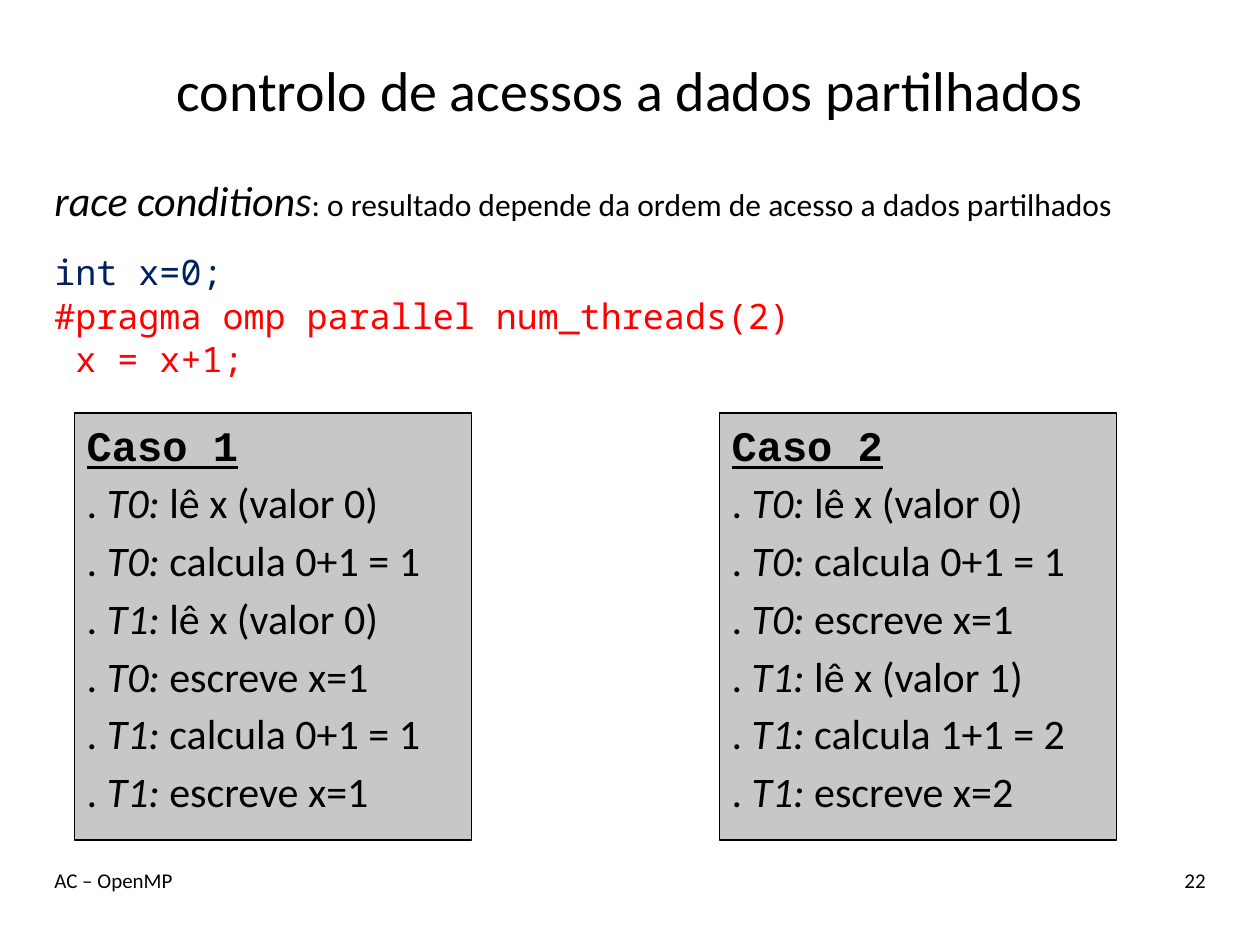
from pptx import Presentation
from pptx.dml.color import RGBColor
from pptx.enum.shapes import MSO_SHAPE
from pptx.enum.text import MSO_ANCHOR, PP_ALIGN
from pptx.util import Pt

BLACK = RGBColor(0x00, 0x00, 0x00)
NAVY = RGBColor(0x00, 0x20, 0x60)
RED = RGBColor(0xFF, 0x00, 0x00)
GREY = RGBColor(0xC7, 0xC7, 0xC7)
MONO = {"name": "Noto Sans Mono", "size": Pt(20)}
HEADING = {"name": "Courier New", "bold": True, "underline": True}
ITALIC = {"italic": True}


class SlideBuilder:
    """Holds the text style and the current slide."""

    def __init__(self, page):
        """Start on the given page with the default text format."""
        self.page = page
        self.base = {"name": "Calibri", "size": Pt(24)}

    def fill_text(self, box, paragraphs, align=PP_ALIGN.LEFT, anchor=MSO_ANCHOR.TOP):
        """Fill a box with (space before, spans) paragraphs."""
        frame = box.text_frame
        frame.word_wrap = True
        frame.vertical_anchor = anchor
        for index, (space, spans) in enumerate(paragraphs):
            para = frame.add_paragraph() if index else frame.paragraphs[0]
            para.alignment = align
            para.space_before = Pt(space)
            for text, changes in spans:
                span = para.add_run()
                span.text = text
                values = {**self.base, **changes}
                span.font.color.rgb = values.pop("color", BLACK)
                for key, value in values.items():
                    setattr(span.font, key, value)

    def text(self, place, paragraphs, **layout):
        """Add a plain text box."""
        box = self.page.shapes.add_textbox(*map(Pt, place))
        self.fill_text(box, paragraphs, **layout)

    def panel(self, place, paragraphs):
        """Add a grey outlined rectangle with text."""
        box = self.page.shapes.add_shape(MSO_SHAPE.RECTANGLE, *map(Pt, place))
        box.shadow.inherit = False
        box.fill.solid()
        box.fill.fore_color.rgb = GREY
        box.line.color.rgb = BLACK
        box.line.width = Pt(0.75)
        self.fill_text(box, paragraphs)


def case_paragraphs(title, steps):
    """Return a heading and one line for each (thread, action) step."""
    lines = [[(title, HEADING)]]
    lines += [[(". ", {}), (f"{thread}: ", ITALIC), (action, {})]
              for thread, action in steps]
    return [(4.2, spans) for spans in lines]


deck = Presentation()
deck.slide_width, deck.slide_height = Pt(720), Pt(540)
slide = SlideBuilder(deck.slides.add_slide(deck.slide_layouts[6]))

slide.text((24, 18, 672, 66),
           [(0, [("controlo de acessos a dados partilhados", {"size": Pt(32)})])],
           align=PP_ALIGN.CENTER, anchor=MSO_ANCHOR.MIDDLE)

small = {"size": Pt(12)}
slide.text((24, 492, 504, 36), [(0, [("AC – OpenMP", small)])])
slide.text((600, 492, 96, 36), [(0, [("22", small)])], align=PP_ALIGN.RIGHT)

slide.text((24, 96, 672, 140), [
    (1.5, [("race conditions", ITALIC),
           (": o resultado depende da ordem de acesso a dados partilhados",
            {"size": Pt(18)})]),
    (15, [("int x=0;", {**MONO, "color": NAVY})]),
    (0.8, [("#pragma omp parallel num_threads(2)", {**MONO, "color": RED})]),
    (0.8, [(" x = x+1;", {**MONO, "color": RED})]),
])

cases = {
    "Caso 1": [("T0", "lê x (valor 0)"), ("T0", "calcula 0+1 = 1"),
               ("T1", "lê x (valor 0)"), ("T0", "escreve x=1"),
               ("T1", "calcula 0+1 = 1"), ("T1", "escreve x=1")],
    "Caso 2": [("T0", "lê x (valor 0)"), ("T0", "calcula 0+1 = 1"),
               ("T0", "escreve x=1"), ("T1", "lê x (valor 1)"),
               ("T1", "calcula 1+1 = 2"), ("T1", "escreve x=2")],
}
for column, (title, steps) in enumerate(cases.items()):
    slide.panel((42.5 + 368.5 * column, 236, 227, 244),
                case_paragraphs(title, steps))

deck.save("out.pptx")
